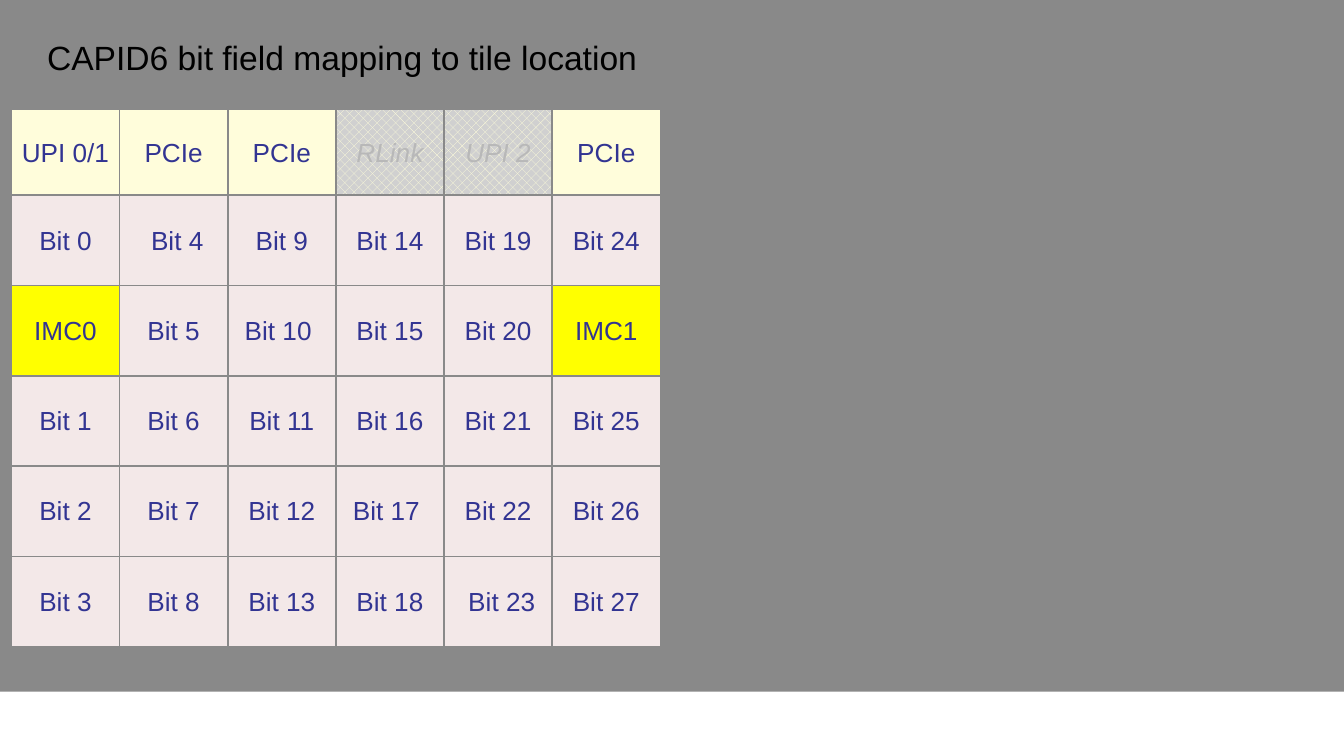
import pptx
import pptx.util
import pptx.dml.color
import pptx.enum.dml
import pptx.enum.shapes
import pptx.enum.text
import pptx.oxml
import pptx.oxml.ns

WIDTH = pptx.util.Inches(10)
HEIGHT = WIDTH * 9 // 16
FONT = "Arial"
COLORS = {
    "background": "898989",
    "band": "FFFFFF",
    "title": "000000",
    "text": "323492",
    "disabled_text": "B8B8B8",
    "disabled": "D0D0D0",
    "link": "FFFDDB",
    "memory": "FFFF00",
    "core": "F3E8E8",
}
TILES = [
    ["UPI 0/1", "PCIe", "PCIe", "RLink", "UPI 2", "PCIe"],
    ["Bit 0", " Bit 4", "Bit 9", "Bit 14", "Bit 19", "Bit 24"],
    ["IMC0", "Bit 5", "Bit 10 ", "Bit 15", "Bit 20", "IMC1"],
    ["Bit 1", "Bit 6", "Bit 11", "Bit 16", "Bit 21", "Bit 25"],
    ["Bit 2", "Bit 7", "Bit 12", "Bit 17 ", "Bit 22", "Bit 26"],
    ["Bit 3", "Bit 8", "Bit 13", "Bit 18", " Bit 23", "Bit 27"],
]
DISABLED_TILES = {"RLink", "UPI 2"}


def color(name):
    return pptx.dml.color.RGBColor.from_string(COLORS[name])


def percent_box(left, top, width, height):
    """Turn percentages of the slide's size into a box of lengths."""
    return (int(WIDTH * left / 100), int(HEIGHT * top / 100),
            int(WIDTH * width / 100), int(HEIGHT * height / 100))


def format_paragraph(paragraph, size, color_name, alignment, italic=False):
    paragraph.alignment = alignment
    for run in paragraph.runs:
        run.font.name = FONT
        run.font.size = pptx.util.Pt(size)
        run.font.italic = italic
        run.font.color.rgb = color(color_name)


def add_bottom_band(slide, box):
    band = slide.shapes.add_shape(
        pptx.enum.shapes.MSO_SHAPE.RECTANGLE, *box)
    band.shadow.inherit = False
    band.fill.solid()
    band.fill.fore_color.rgb = color("band")
    band.line.fill.background()


def place_title(slide, box, text):
    title = slide.shapes.title
    title.left, title.top, title.width, title.height = box
    frame = title.text_frame
    frame.text = text
    frame.word_wrap = False
    frame.auto_size = pptx.enum.text.MSO_AUTO_SIZE.SHAPE_TO_FIT_TEXT
    frame.vertical_anchor = pptx.enum.text.MSO_ANCHOR.TOP
    format_paragraph(frame.paragraphs[0], 18, "title",
                     pptx.enum.text.PP_ALIGN.LEFT)


def add_cell_borders(cell):
    """Draw a thin line on all four sides; call before filling the cell."""
    properties = cell._tc.get_or_add_tcPr()
    for side in ("lnL", "lnR", "lnT", "lnB"):
        properties.append(pptx.oxml.parse_xml(
            f'<a:{side} {pptx.oxml.ns.nsdecls("a")} w="{pptx.util.Pt(1)}">'
            f'<a:solidFill><a:srgbClr val="{COLORS["background"]}"/>'
            f'</a:solidFill></a:{side}>'))


def fill_tile(cell, label, row):
    if label in DISABLED_TILES:
        cell.fill.patterned()
        cell.fill.pattern = pptx.enum.dml.MSO_PATTERN.PERCENT_50
        cell.fill.fore_color.rgb = color("link")
        cell.fill.back_color.rgb = color("disabled")
        return
    kind = "link" if row == 0 else "core"
    if label.startswith("IMC"):
        kind = "memory"
    cell.fill.solid()
    cell.fill.fore_color.rgb = color(kind)


def format_tile(cell, label, row):
    disabled = label in DISABLED_TILES
    cell.text_frame.text = label
    cell.vertical_anchor = pptx.enum.text.MSO_ANCHOR.MIDDLE
    cell.margin_left = cell.margin_right = pptx.util.Inches(0.01)
    cell.margin_top = pptx.util.Inches(0.01)
    cell.margin_bottom = 0
    format_paragraph(cell.text_frame.paragraphs[0], 14,
                     "disabled_text" if disabled else "text",
                     pptx.enum.text.PP_ALIGN.CENTER, italic=disabled)
    add_cell_borders(cell)
    fill_tile(cell, label, row)


def add_tile_map(slide, box, tiles):
    """Add the tile table; its first row is slightly lower than the rest."""
    left, top, width, height = box
    table = slide.shapes.add_table(
        len(tiles), len(tiles[0]), left, top, width, height).table
    table.first_row = table.horz_banding = False
    for column in table.columns:
        column.width = width // len(tiles[0])
    first_height = int(height * 0.16)
    other_height = (height - first_height) // (len(tiles) - 1)
    for row, labels in enumerate(tiles):
        table.rows[row].height = other_height if row else first_height
        for column, label in enumerate(labels):
            format_tile(table.cell(row, column), label, row)


def build_slide(presentation):
    slide = presentation.slides.add_slide(
        presentation.slide_layouts.get_by_name("Title Only"))
    slide.background.fill.solid()
    slide.background.fill.fore_color.rgb = color("background")
    add_bottom_band(slide, percent_box(0, 91.5, 100, 8.5))
    add_tile_map(slide, percent_box(0.85, 14.45, 48.3, 71.1), TILES)
    place_title(slide, percent_box(2.5, 4, 46.3, 7.1),
                "CAPID6 bit field mapping to tile location")


def main():
    presentation = pptx.Presentation()
    presentation.slide_width = WIDTH
    presentation.slide_height = HEIGHT
    build_slide(presentation)
    presentation.save("out.pptx")


if __name__ == "__main__":
    main()
